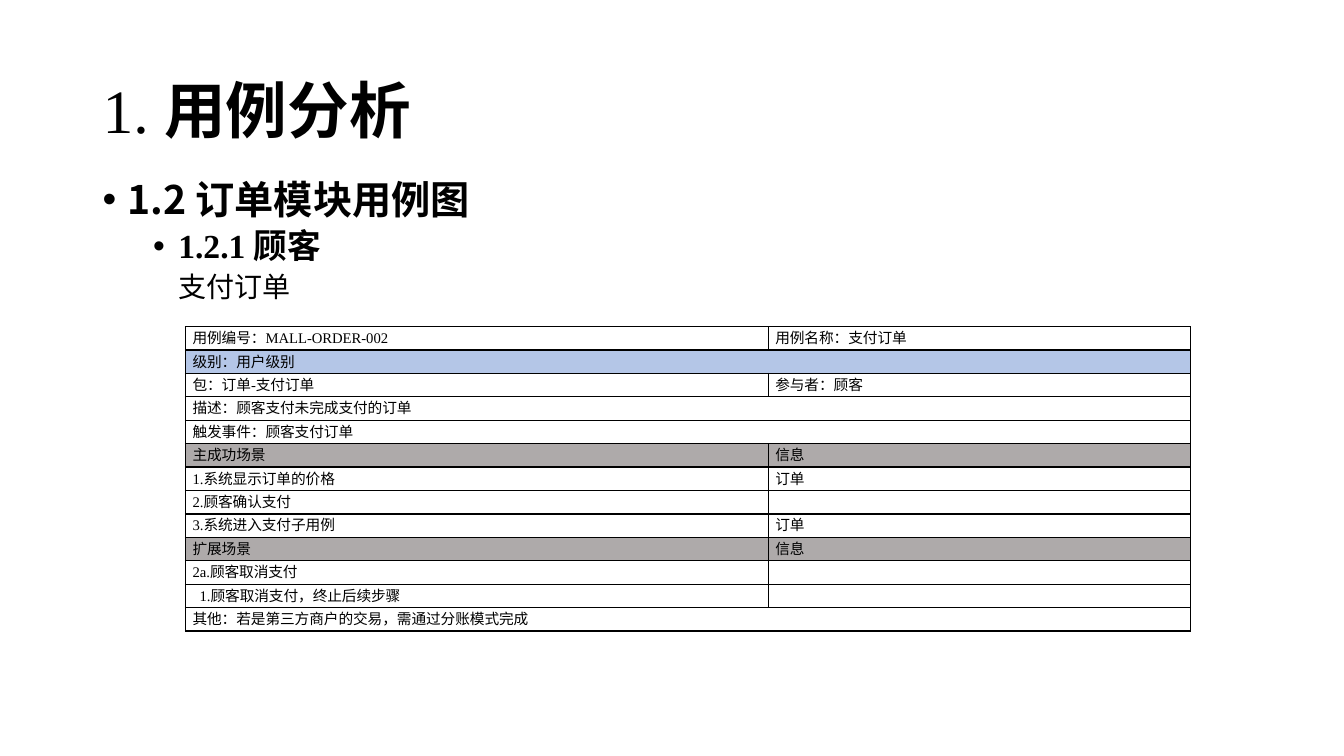
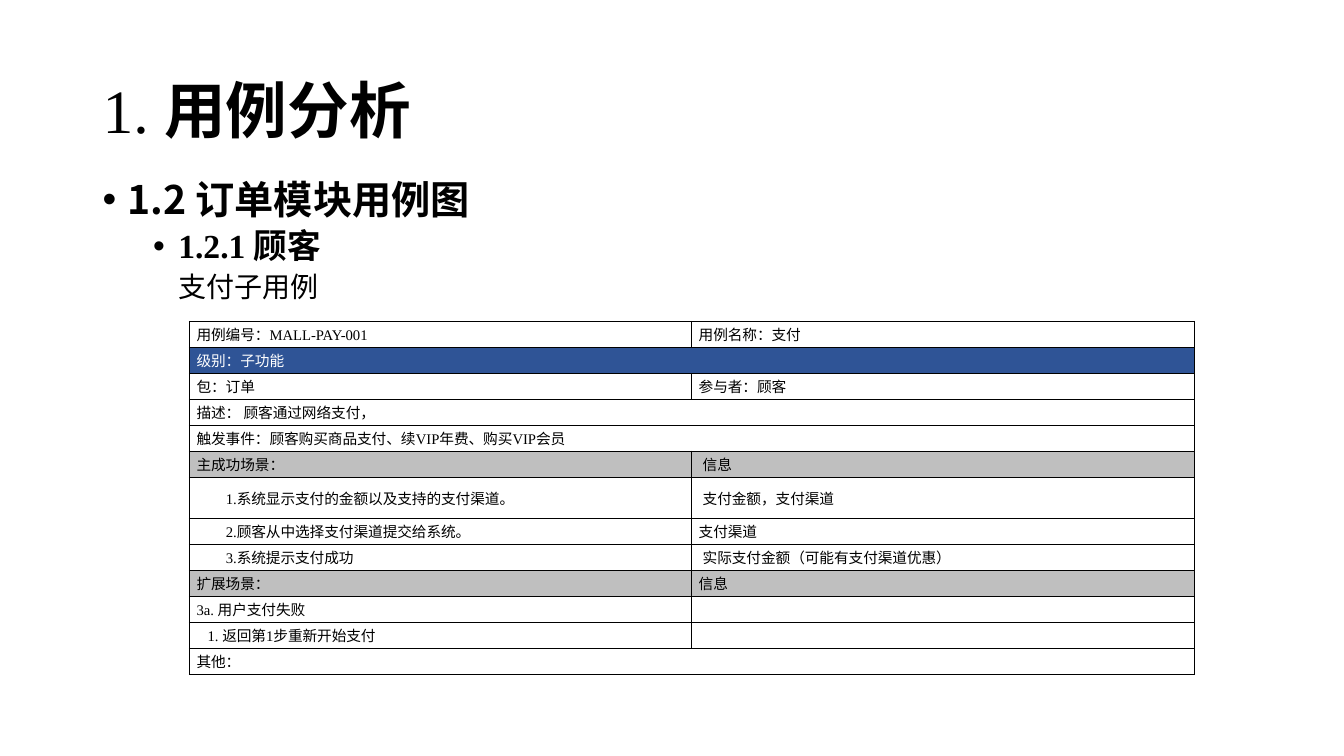
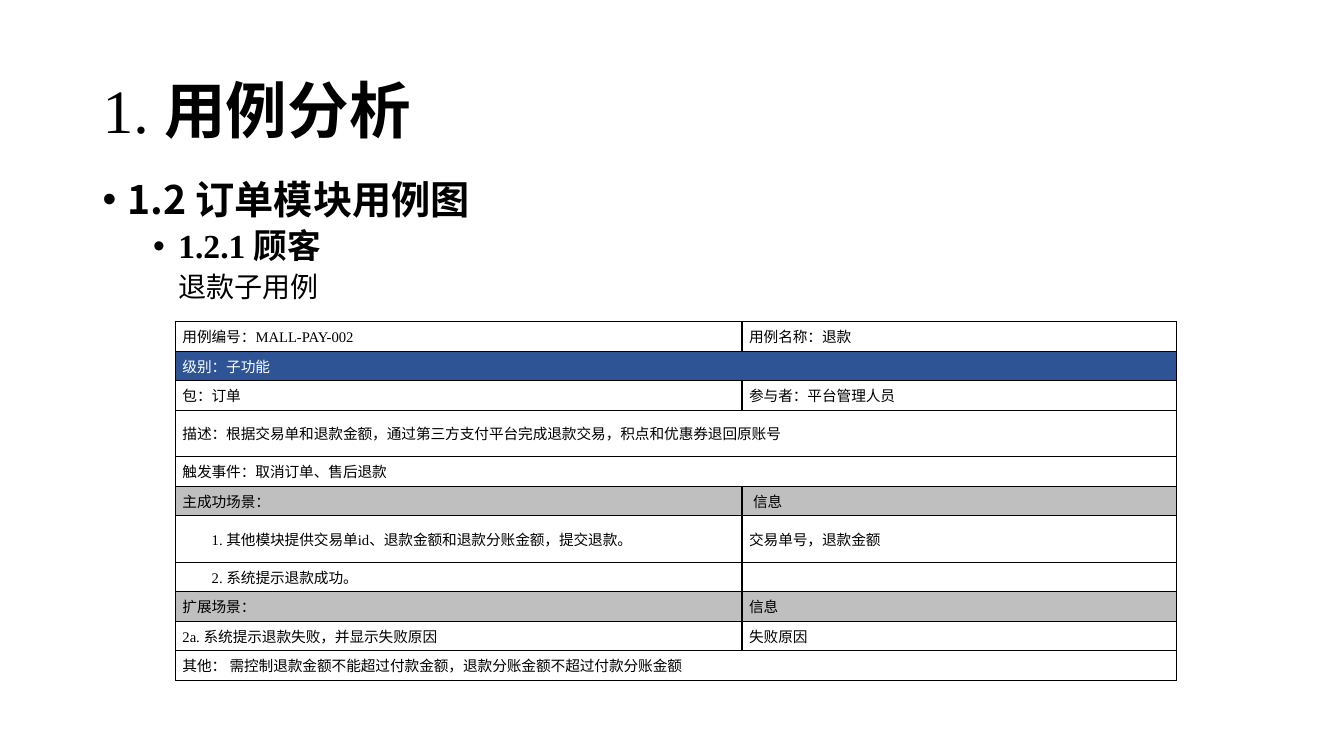
from dataclasses import dataclass, field

from lxml.etree import SubElement
from pptx import Presentation
from pptx.dml.color import RGBColor
from pptx.enum.text import MSO_ANCHOR as ANCHOR, PP_ALIGN as ALIGN
from pptx.oxml import parse_xml
from pptx.oxml.ns import nsdecls, qn
from pptx.util import Pt

PX = 9144  # EMU, 100 px to the inch

BLACK = RGBColor(0x00, 0x00, 0x00)
WHITE = RGBColor(0xFF, 0xFF, 0xFF)
PALE_BLUE = RGBColor(0xB4, 0xC6, 0xE7)
DEEP_BLUE = RGBColor(0x2F, 0x54, 0x96)
WARM_GRAY = RGBColor(0xAE, 0xAA, 0xAA)
GRAY = RGBColor(0xBF, 0xBF, 0xBF)

SERIF = "Times New Roman"
SANS = "Noto Sans CJK SC"

TITLE_BOX = (92, 40, 1150, 145)
OUTLINE_BOX = (92, 174, 1150, 476)
CELL_SIZE = 10.5
STEP = 29  # first-line indent of a numbered step
NUDGE = 4

# Row kinds
PLAIN, LEVEL, HEAD = range(3)


@dataclass
class UseCase:
    name: str
    box: tuple
    first_col: int
    rows: list
    level_fill: RGBColor = DEEP_BLUE
    level_color: RGBColor = WHITE
    head_fill: RGBColor = GRAY
    anchor: ANCHOR = ANCHOR.MIDDLE
    tall_rows: dict = field(default_factory=dict)


# A row is (kind, cell, ...); one cell spans the table.
# A cell is a text or (indent, text).
USE_CASES = [
    UseCase(
        "支付订单", (184, 324, 997, 302), 578,
        [
            (PLAIN, "用例编号：MALL-ORDER-002", "用例名称：支付订单"),
            (LEVEL, "级别：用户级别"),
            (PLAIN, "包：订单-支付订单", "参与者：顾客"),
            (PLAIN, "描述：顾客支付未完成支付的订单"),
            (PLAIN, "触发事件：顾客支付订单"),
            (HEAD, "主成功场景", "信息"),
            (PLAIN, "1.系统显示订单的价格", "订单"),
            (PLAIN, "2.顾客确认支付", ""),
            (PLAIN, "3.系统进入支付子用例", "订单"),
            (HEAD, "扩展场景", "信息"),
            (PLAIN, "2a.顾客取消支付", ""),
            (PLAIN, (7, "1.顾客取消支付，终止后续步骤"), ""),
            (PLAIN, "其他：若是第三方商户的交易，需通过分账模式完成"),
        ],
        level_fill=PALE_BLUE, level_color=BLACK, head_fill=WARM_GRAY,
        anchor=ANCHOR.TOP,
    ),
    UseCase(
        "支付子用例", (188, 319, 997, 350), 498,
        [
            (PLAIN, "用例编号：MALL-PAY-001", "用例名称：支付"),
            (LEVEL, "级别：子功能"),
            (PLAIN, "包：订单", "参与者：顾客"),
            (PLAIN, "描述： 顾客通过网络支付，"),
            (PLAIN, "触发事件：顾客购买商品支付、续VIP年费、购买VIP会员"),
            (HEAD, "主成功场景：", (NUDGE, "信息")),
            (PLAIN, (STEP, "1.系统显示支付的金额以及支持的支付渠道。"),
             (NUDGE, "支付金额，支付渠道")),
            (PLAIN, (STEP, "2.顾客从中选择支付渠道提交给系统。"), "支付渠道"),
            (PLAIN, (STEP, "3.系统提示支付成功"),
             (NUDGE, "实际支付金额（可能有支付渠道优惠）")),
            (HEAD, "扩展场景：", "信息"),
            (PLAIN, "3a. 用户支付失败", ""),
            (PLAIN, (11, "1. 返回第1步重新开始支付"), ""),
            (PLAIN, "其他："),
        ],
        tall_rows={6: 41},
    ),
    UseCase(
        "退款子用例", (174, 319, 993, 356), 562,
        [
            (PLAIN, "用例编号：MALL-PAY-002", "用例名称：退款"),
            (LEVEL, "级别：子功能"),
            (PLAIN, "包：订单", "参与者：平台管理人员"),
            (PLAIN, "描述：根据交易单和退款金额，通过第三方支付平台完成退款交易，"
                    "积点和优惠券退回原账号"),
            (PLAIN, "触发事件：取消订单、售后退款"),
            (HEAD, "主成功场景：", (NUDGE, "信息")),
            (PLAIN, (STEP, "1. 其他模块提供交易单id、退款金额和退款分账金额，提交退款。"),
             "交易单号，退款金额"),
            (PLAIN, (STEP, "2. 系统提示退款成功。"), ""),
            (HEAD, "扩展场景：", "信息"),
            (PLAIN, "2a. 系统提示退款失败，并显示失败原因", "失败原因"),
            (PLAIN, "其他： 需控制退款金额不能超过付款金额，退款分账金额不超过付款分账金额"),
        ],
        tall_rows={3: 46, 6: 46},
    ),
]


def emu(*lengths):
    return [round(n * PX) for n in lengths]


def add_run(p, text, size, font=SERIF, color=BLACK, bold=False):
    r = p.add_run()
    r.text = text
    r.font.size = Pt(size)
    r.font.name = font
    r.font.bold = bold
    r.font.color.rgb = color
    SubElement(r.font._element, qn("a:ea")).set("typeface", SANS)


def set_indent(p, left, first, bullet=None):
    pPr = p._p.get_or_add_pPr()
    left, first = emu(left, first)
    pPr.set("marL", str(left))
    pPr.set("indent", str(first))
    if bullet:
        SubElement(pPr, qn("a:buFont")).set("typeface", "Arial")
        SubElement(pPr, qn("a:buChar")).set("char", bullet)


def add_text_box(s, box, anchor):
    tf = s.shapes.add_textbox(*emu(*box)).text_frame
    tf.word_wrap = True
    tf.vertical_anchor = anchor
    return tf


def add_title(s, box):
    p = add_text_box(s, box, ANCHOR.MIDDLE).paragraphs[0]
    p.line_spacing = 0.9
    add_run(p, "1. ", 44)
    add_run(p, "用例分析", 44, bold=True)


def add_outline(s, box, name):
    tf = add_text_box(s, box, ANCHOR.TOP)
    lines = [
        ("1.2 订单模块用例图", 28, SANS, True, 25, "•"),
        ("1.2.1 顾客", 24, SERIF, True, 75, "•"),
        (name, 20, SERIF, False, 75, None),
    ]
    for i, (text, size, font, bold, left, bullet) in enumerate(lines):
        p = tf.add_paragraph() if i else tf.paragraphs[0]
        set_indent(p, left, -25 if bullet else 0, bullet)
        p.line_spacing = 0.9
        if i:
            p.space_before = Pt(5)
        add_run(p, text, size, font, bold=bold)


def set_borders(cell):
    tcPr = cell._tc.get_or_add_tcPr()
    for i, side in enumerate("LRTB"):
        tcPr.insert(i, parse_xml(
            f'<a:ln{side} {nsdecls("a")} w="{Pt(1)}"><a:solidFill>'
            f'<a:srgbClr val="{BLACK}"/></a:solidFill></a:ln{side}>'))


def fill_cell(cell, content, color):
    indent, text = content if isinstance(content, tuple) else (0, content)
    p = cell.text_frame.paragraphs[0]
    p.alignment = ALIGN.JUSTIFY
    set_indent(p, 0, indent)
    if text:
        add_run(p, text, CELL_SIZE, color=color)
    else:
        SubElement(p._p, qn("a:endParaRPr")).set("sz", str(int(CELL_SIZE * 100)))


def add_use_case_table(s, case):
    count = len(case.rows)
    width, height = case.box[2:]
    tall = case.tall_rows
    row_height = (height - sum(tall.values())) / (count - len(tall))
    fills = {LEVEL: case.level_fill, HEAD: case.head_fill}

    table = s.shapes.add_table(count, 2, *emu(*case.box)).table
    table.first_row = table.horz_banding = False
    widths = emu(case.first_col, width - case.first_col)
    for col, col_width in zip(table.columns, widths):
        col.width = col_width

    for i, (kind, *contents) in enumerate(case.rows):
        table.rows[i].height = emu(tall.get(i, row_height))[0]
        cells = [table.cell(i, j) for j in range(2)]
        for cell in cells:
            cell.margin_left = cell.margin_right = 7 * PX
            cell.margin_top = cell.margin_bottom = 0
            cell.vertical_anchor = case.anchor
            if kind in fills:
                cell.fill.solid()
                cell.fill.fore_color.rgb = fills[kind]
            else:
                cell.fill.background()
            set_borders(cell)
        if len(contents) == 1:
            cells[0].merge(cells[1])
        color = case.level_color if kind == LEVEL else BLACK
        for cell, content in zip(cells, contents):
            fill_cell(cell, content, color)


def add_use_case_slide(prs, case):
    s = prs.slides.add_slide(prs.slide_layouts[6])
    add_title(s, TITLE_BOX)
    add_outline(s, OUTLINE_BOX, case.name)
    add_use_case_table(s, case)


def main():
    prs = Presentation()
    prs.slide_width, prs.slide_height = emu(1333, 750)
    for case in USE_CASES:
        add_use_case_slide(prs, case)
    prs.save("out.pptx")


if __name__ == "__main__":
    main()
